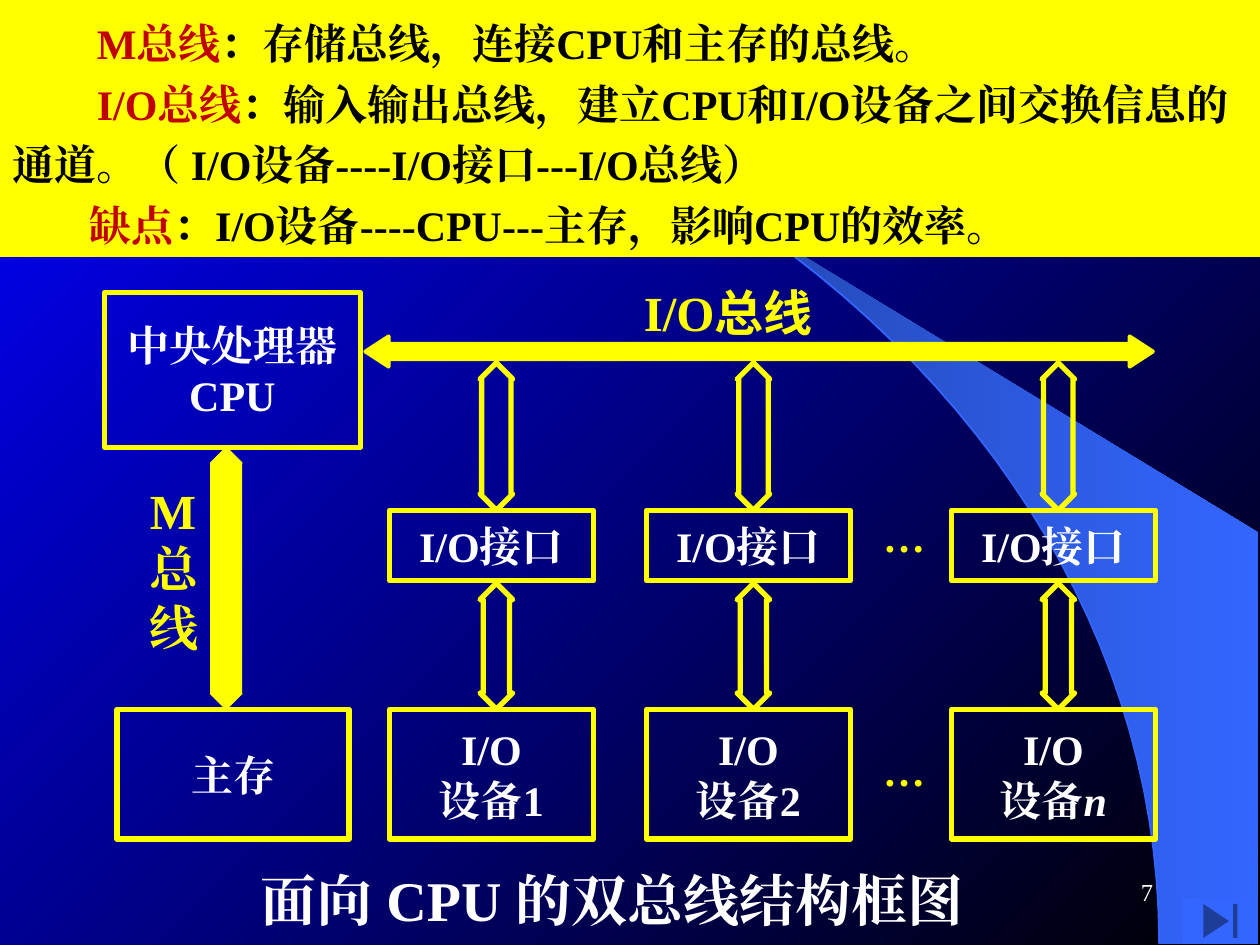
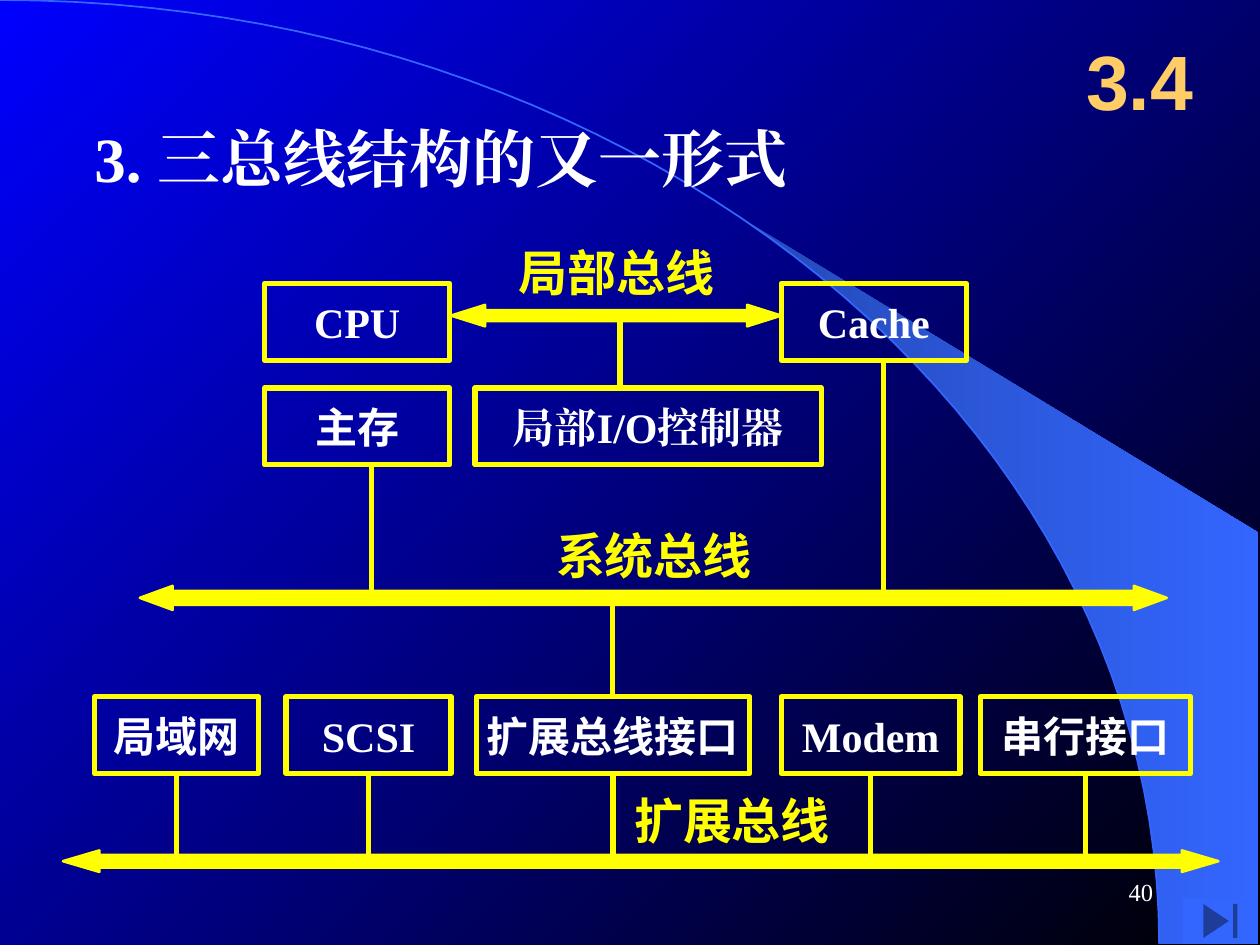
from lxml.etree import SubElement
from pptx import Presentation
from pptx.dml.color import RGBColor
from pptx.enum.shapes import MSO_CONNECTOR, MSO_SHAPE
from pptx.enum.text import MSO_ANCHOR, PP_ALIGN
from pptx.oxml.ns import qn
from pptx.util import Inches, Pt

YELLOW, WHITE, BLACK = "FFFF00", "FFFFFF", "000000"
RED, GOLD, SKY = "C00000", "FFCC66", "3366FF"
SERIF, SANS, HAN = "Times New Roman", "Arial", "Noto Sans CJK SC"
LEFT, MID, RIGHT = PP_ALIGN.LEFT, PP_ALIGN.CENTER, PP_ALIGN.RIGHT


def color(code):
    return RGBColor.from_string(code)


def blend(fill, start, end, angle):
    fill.gradient()
    fill.gradient_angle = angle
    for stop, code in zip(fill.gradient_stops, (start, end)):
        stop.color.rgb = color(code)


def paint(shape, fill=None, line=None, width=3):
    shape.shadow.inherit = False
    if fill:
        shape.fill.solid()
        shape.fill.fore_color.rgb = color(fill)
    else:
        shape.fill.background()
    if line:
        shape.line.color.rgb = color(line)
        shape.line.width = Pt(width)
    else:
        shape.line.fill.background()
    return shape


def draw(slide, kind, box, adj=(), **look):
    shape = slide.shapes.add_shape(kind, *map(Inches, box))
    for i, value in enumerate(adj):
        shape.adjustments[i] = value
    return paint(shape, **look)


def write(shape, *paras, size=24, tint=WHITE, font=SERIF, bold=True, align=MID,
          pad=(0, 0), wrap=True, space=None, dents=()):
    frame = shape.text_frame
    frame.word_wrap = wrap
    frame.vertical_anchor = MSO_ANCHOR.MIDDLE
    frame.margin_left = frame.margin_right = Inches(pad[0])
    frame.margin_top = frame.margin_bottom = Inches(pad[1])
    for i, para in enumerate(paras):
        item = frame.add_paragraph() if i else frame.paragraphs[0]
        item.alignment = align
        if space:
            item.line_spacing = space
        if dents:
            item._p.get_or_add_pPr().set("indent", str(Inches(dents[i])))
        for part, style in [(para, {})] if isinstance(para, str) else para:
            run = item.add_run()
            run.text = part
            face = run.font
            face.size, face.bold = Pt(size), bold
            face.italic = style.get("italic")
            face.color.rgb = color(style.get("tint", tint))
            face.name = style.get("font", font)
            east = SubElement(run._r.get_or_add_rPr(), qn("a:ea"))
            east.set("typeface", face.name)


def label(slide, box, *paras, **form):
    write(slide.shapes.add_textbox(*map(Inches, box)), *paras, **form)


def node(slide, box, *paras, **form):
    shape = draw(slide, MSO_SHAPE.RECTANGLE, box, line=YELLOW)
    write(shape, *paras, **form)


def link(slide, x, top, end):
    line = slide.shapes.add_connector(
        MSO_CONNECTOR.STRAIGHT, *map(Inches, (x, top, x, end)))
    line.line.color.rgb = color(YELLOW)
    line.line.width = Pt(3)
    SubElement(line._element.spPr, qn("a:effectLst"))


def bus(slide, box, adj, width=1.5):
    draw(slide, MSO_SHAPE.LEFT_RIGHT_ARROW, box, adj,
         fill=YELLOW, line=YELLOW, width=width)


def arc(t):
    u = 1 - t
    a, b, c = 3 * u * u * t, 3 * u * t * t, t ** 3
    return 5.08 * a + 9.2 * (b + c), 3.35 * b + 7.49 * c


def trace(slide, points, close):
    points = [(Inches(x), Inches(y)) for x, y in points]
    form = slide.shapes.build_freeform(*points[0])
    form.add_line_segments(points[1:], close=close)
    return form.convert_to_shape()


def scene(deck, number):
    slide = deck.slides.add_slide(deck.slide_layouts[6])
    curve = [arc(i / 50) for i in range(51)]
    wedge = paint(trace(slide, curve[22:] + [(9.99, 7.49), (9.99, 4.23)], True))
    blend(wedge.fill, "2449B6", SKY, 0)
    paint(trace(slide, curve, False), line=SKY, width=1)
    draw(slide, MSO_SHAPE.ACTION_BUTTON_END, (9.39, 7.13, 0.59, 0.36), fill=SKY)
    label(slide, (7.17, 6.83, 2.08, 0.5), number, size=14, bold=False,
          align=RIGHT, pad=(0.1, 0.05))
    return slide


def notes(slide, box):
    red = {"tint": RED}
    band = draw(slide, MSO_SHAPE.RECTANGLE, box, fill=YELLOW)
    write(band,
          [("M总线", red), ("：存储总线，连接CPU和主存的总线。", {})],
          [("I/O总线", red),
           ("：输入输出总线，建立CPU和I/O设备之间交换信息的通道。"
            "（ I/O设备----I/O接口---I/O总线）", {})],
          [("缺点", red), ("：I/O设备----CPU---主存，影响CPU的效率。", {})],
          tint=BLACK, align=LEFT, pad=(0.1, 0.05), space=1.2,
          dents=(0.67, 0.67, 0.61))


def core(slide, x, y):
    node(slide, (x, y, 2.03, 1.23), "中央处理器", "CPU")
    draw(slide, MSO_SHAPE.UP_DOWN_ARROW, (x + 0.84, y + 1.23, 0.25, 2.08),
         (0.5, 0.98), fill=YELLOW, line=YELLOW, width=0.75)
    label(slide, (x + 0.36, y + 1.49, 0.47, 1.4), "M", "总", "线",
          size=28, tint=YELLOW, align=LEFT)
    node(slide, (x + 0.1, y + 3.31, 1.84, 1.03), "主存")


def device(slide, x, y, name):
    for top, tall, head in ((0, 1.17, 0.9), (1.75, 1, 0.8)):
        draw(slide, MSO_SHAPE.UP_DOWN_ARROW, (x + 0.72, y + top, 0.26, tall),
             (0.5, head), line=YELLOW)
    node(slide, (x, y + 1.17, 1.62, 0.56), "I/O接口")
    node(slide, (x, y + 2.75, 1.62, 1.03), "I/O", name)


def ports(slide, x, y):
    label(slide, (x + 2.21, y, 1.98, 0.47), [("I/O", {}), ("总线", {"font": HAN})],
          size=28, tint=YELLOW, align=LEFT)
    bus(slide, (x, y + 0.43, 6.25, 0.24), (0.5, 0.77), 2.25)
    last = [("设备", {}), ("n", {"italic": True})]
    for left, name in ((0.19, "设备1"), (2.23, "设备2"), (4.65, last)):
        device(slide, x + left, y + 0.64, name)
    for top in (1.81, 3.67):
        label(slide, (x + 4.11, y + top, 0.41, 0.4), "…", tint=YELLOW, align=LEFT)


def title(slide, name):
    label(slide, (0.65, 0.63, 5.7, 1.24), name, size=36, align=LEFT,
          pad=(0.1, 0.05))
    label(slide, (8.42, 0.17, 1.25, 0.92), "3.4", size=44, tint=GOLD, font=SANS)


def mark(slide, x, y, name):
    label(slide, (x, y, 1.56, 0.47), name, size=28, tint=YELLOW, font=HAN,
          wrap=False)


def local(slide, x, y):
    wide, tall, low = 1.47, 0.61, 0.83
    node(slide, (x, y, wide, tall), "CPU")
    node(slide, (x + 4.1, y, wide, tall), "Cache")
    node(slide, (x, y + low, wide, tall), "主存", font=HAN)
    node(slide, (x + 1.67, y + low, 2.75, tall), "局部I/O控制器")
    mark(slide, x + 2.01, y - 0.33, "局部总线")
    bus(slide, (x + 1.48, y + 0.17, 2.62, 0.17), (0.5, 1.59))
    link(slide, x + 2.82, y + 0.25, y + low)


def system(slide, x, y):
    mark(slide, x + 3.3, y - 0.48, "系统总线")
    bus(slide, (x, y, 8.15, 0.19), (0.58, 1.37))
    for left, top, end in ((1.84, -0.96, 0.1), (5.9, -1.8, 0.1), (3.75, 0.1, 0.88)):
        link(slide, x + left, y + top, y + end)


def extend(slide, x, y):
    for left, wide, name in ((0.25, 1.3, "局域网"), (1.77, 1.31, "SCSI"),
                             (3.28, 2.17, "扩展总线接口"), (5.7, 1.42, "Modem"),
                             (7.28, 1.67, "串行接口")):
        node(slide, (x + left, y, wide, 0.61), name,
             font=SERIF if name.isascii() else HAN)
        link(slide, x + left + wide / 2, y + 0.61, y + 1.31)
    mark(slide, x + 4.53, y + 0.74, "扩展总线")
    bus(slide, (x, y + 1.22, 9.17, 0.17), (0.59, 1.7))


def dual(deck):
    slide = scene(deck, "7")
    core(slide, 0.83, 2.32)
    ports(slide, 2.9, 2.24)
    notes(slide, (0, 0, 10, 2.04))
    label(slide, (1.38, 6.82, 6.96, 0.63), "面向 CPU 的双总线结构框图", size=32)


def triple(deck):
    slide = scene(deck, "40")
    title(slide, "3. 三总线结构的又一形式")
    local(slide, 2.1, 2.25)
    system(slide, 1.11, 4.65)
    extend(slide, 0.5, 5.53)


def main():
    deck = Presentation()
    deck.slide_width, deck.slide_height = Inches(10), Inches(7.5)
    blend(deck.slide_master.background.fill, "0000FF", BLACK, 315)
    dual(deck)
    triple(deck)
    deck.save("out.pptx")


if __name__ == "__main__":
    main()
